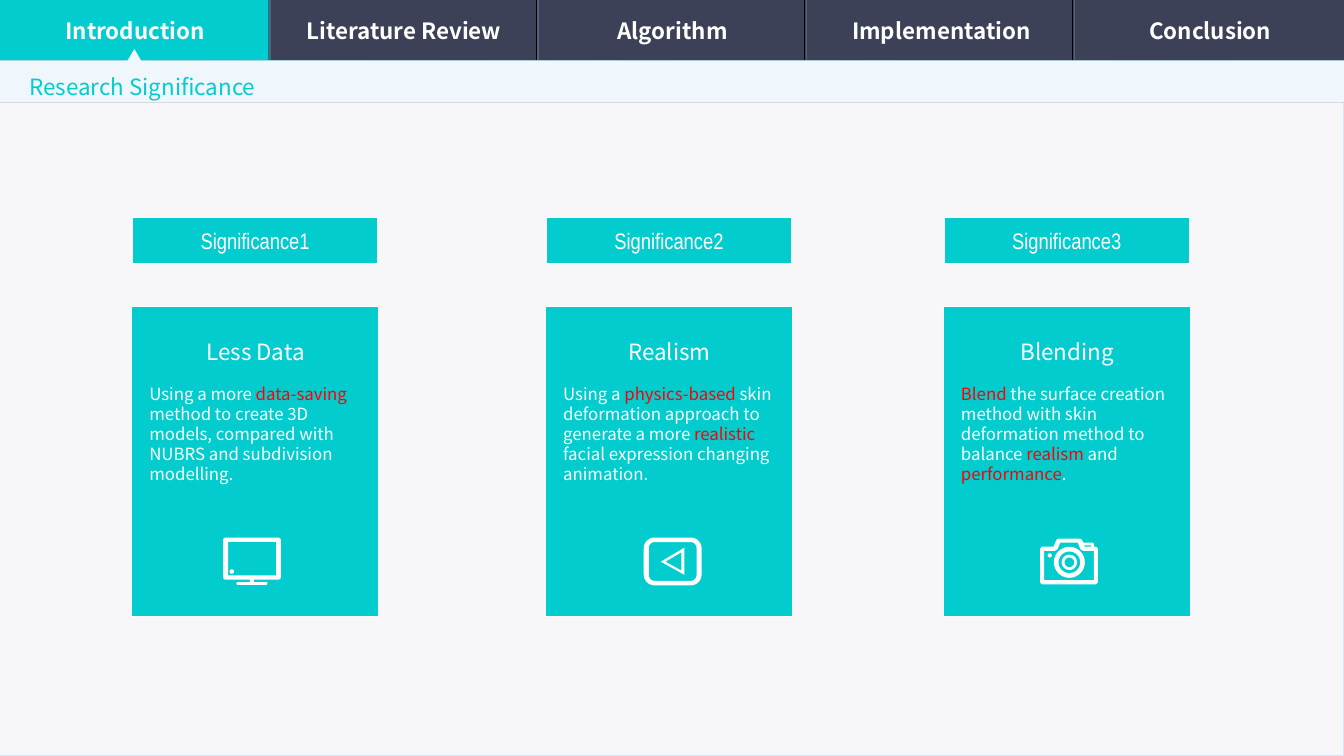
from dataclasses import dataclass
from math import cos, pi, sin

from lxml import etree
from pptx import Presentation
from pptx.dml.color import RGBColor
from pptx.enum.shapes import MSO_CONNECTOR, MSO_SHAPE
from pptx.enum.text import MSO_ANCHOR, MSO_AUTO_SIZE, PP_ALIGN
from pptx.oxml.ns import qn
from pptx.util import Pt

RECT, ROUND = MSO_SHAPE.RECTANGLE, MSO_SHAPE.ROUNDED_RECTANGLE
LINE = MSO_CONNECTOR.STRAIGHT
LEFT, CENTER = PP_ALIGN.LEFT, PP_ALIGN.CENTER
MIDDLE = MSO_ANCHOR.MIDDLE
GROW = MSO_AUTO_SIZE.SHAPE_TO_FIT_TEXT


@dataclass(frozen=True)
class Theme:
    teal: str = "03CCCE"
    slate: str = "3B445B"
    navy: str = "3C4157"
    edge: str = "596181"
    black: str = "000000"
    white: str = "FFFFFF"
    red: str = "FF0000"
    strip: str = "EFF6FC"
    panel: str = "F7F7F9"
    rim: str = "D4E7F9"
    rule: str = "D9D9D9"
    sans: str = "Noto Sans CJK SC"
    narrow: str = "Arial Narrow"
    head: float = 12
    body: float = 9


def rgb(code):
    return RGBColor.from_string(code)


def write(para, text, *, font, size, color, mark=None, bold=False,
          align=LEFT, before=None, spacing=None):
    """Fill a paragraph; parts between asterisks take the mark colour."""
    para.alignment = align
    if before is not None:
        para.space_before = Pt(before)
    if spacing is not None:
        para.line_spacing = spacing
    for i, part in enumerate(text.split("*")):
        if part:
            run = para.add_run()
            run.text = part
            run.font.name, run.font.size, run.font.bold = font, Pt(size), bold
            run.font.color.rgb = rgb(mark if i % 2 else color)


# Outlines used by the icons
def disc(x, y, r, n=40):
    return [(x + r * cos(2 * pi * i / n), y + r * sin(2 * pi * i / n))
            for i in range(n)]


def box(x, y, w, h, r=0.0, n=8):
    if not r:
        return [(x, y), (x + w, y), (x + w, y + h), (x, y + h)]
    mids = [(x + w - r, y + h - r), (x + r, y + h - r),
            (x + r, y + r), (x + w - r, y + r)]
    return [(cx + r * cos(pi / 2 * (q + i / n)),
             cy + r * sin(pi / 2 * (q + i / n)))
            for q, (cx, cy) in enumerate(mids) for i in range(n + 1)]


class Deck:
    def __init__(self, theme):
        self.theme = theme
        self.prs = Presentation()
        self.prs.slide_width, self.prs.slide_height = Pt(720), Pt(405)
        self.slide = self.prs.slides.add_slide(self.prs.slide_layouts[5])
        self.shapes = self.slide.shapes

    def back(self, first, last):
        fill = self.slide.background.fill
        fill.gradient()
        fill.gradient_angle = 315
        for stop, color in zip(fill.gradient_stops, (first, last)):
            stop.color.rgb = rgb(color)

    def paint(self, shape, fill=None, line=None):
        shape.shadow.inherit = False
        if fill:
            shape.fill.solid()
            shape.fill.fore_color.rgb = rgb(fill)
        else:
            shape.fill.background()
        if line:
            shape.line.color.rgb = rgb(line)
            shape.line.width = Pt(0.5)
        else:
            shape.line.fill.background()

    def block(self, x, y, w, h, fill=None, line=None, text="", kind=RECT, **fmt):
        shape = self.shapes.add_shape(kind, Pt(x), Pt(y), Pt(w), Pt(h))
        if kind == ROUND:
            shape.adjustments[0] = 0
        self.paint(shape, fill, line)
        if text:
            shape.text_frame.vertical_anchor = MIDDLE
            write(shape.text_frame.paragraphs[0], text, align=CENTER,
                  size=self.theme.head, color=self.theme.white, **fmt)

    def rule(self, x1, y1, x2, y2, color, width=0.5):
        line = self.shapes.add_connector(LINE, Pt(x1), Pt(y1), Pt(x2), Pt(y2))
        line.line.color.rgb = rgb(color)
        line.line.width = Pt(width)
        etree.SubElement(line._element.spPr, qn("a:effectLst"))

    def outline(self, x, y, loops, fill):
        """Draw closed loops as one shape; inner loops cut holes."""
        loops = [[(Pt(x + px), Pt(y + py)) for px, py in loop] for loop in loops]
        pen = self.shapes.build_freeform(*loops[0][0])
        for i, loop in enumerate(loops):
            if i:
                pen.move_to(*loop[0])
            pen.add_line_segments(loop[1:], close=True)
        self.paint(pen.convert_to_shape(), fill)

    def title(self, x, y, w, h, text):
        t, shape = self.theme, self.shapes.title
        shape.left, shape.top, shape.width, shape.height = map(Pt, (x, y, w, h))
        frame = shape.text_frame
        frame.word_wrap, frame.auto_size = False, GROW
        frame.vertical_anchor = MIDDLE
        write(frame.paragraphs[0], text, font=t.sans, size=t.head,
              color=t.teal, spacing=1.5)
        # Bring the title in front of the strip
        self.shapes._spTree.append(shape._element)

    def note(self, x, y, w, h, head, body):
        t = self.theme
        frame = self.shapes.add_textbox(Pt(x), Pt(y), Pt(w), Pt(h)).text_frame
        frame.word_wrap, frame.auto_size = True, GROW
        frame.margin_left = frame.margin_right = 0
        frame.margin_top = frame.margin_bottom = 0
        write(frame.paragraphs[0], head, font=t.sans, size=t.head,
              color=t.white, align=CENTER)
        write(frame.add_paragraph(), body, font=t.sans, size=t.body,
              color=t.white, mark=t.red, before=9.5)


SCREEN = [box(0, 0, 31, 22.5, 1.5), box(2.8, 2.3, 25.6, 18),
          disc(4.7, 18.2, 1.2), box(14.4, 22.5, 2.2, 1.3),
          box(7.2, 23.8, 16.6, 1.5, 0.7)]
PLAY = [box(0, 0, 31, 25.6, 5.8), box(2.7, 2.4, 25.6, 20.8, 3.2),
        [(21.8, 5.4), (9.2, 12.9), (21.8, 20)],
        [(20.2, 7.9), (20.2, 17.7), (11.6, 12.9)]]
CAMERA = [[(0, 5.3), (1, 4.3), (7.2, 4.3), (8.8, 0.6), (9.8, 0), (21.4, 0),
           (22.5, 0.7), (23.2, 2.2), (28.3, 2.2), (28.9, 2.8), (28.9, 4.3),
           (30, 4.3), (31, 5.3), (31, 23.5), (30, 24.5), (1, 24.5), (0, 23.5)],
          [(2.2, 6.5), (8, 6.5), (9.4, 5.6), (10.8, 2.2), (20.2, 2.2),
           (21.6, 5.7), (23, 6.5), (28.8, 6.5), (28.8, 22.3), (2.2, 22.3)],
          box(23.8, 3.6, 3.6, 0.7), disc(5.2, 9, 1.1),
          *[disc(15.7, 12.7, r) for r in (8.3, 5.8, 4.1, 2.6)]]

TABS = ["Introduction", "Literature Review", "Algorithm", "Implementation",
        "Conclusion"]
# Card left, heading, body, icon, icon left and top
CARDS = [
    (70.6, "Less Data", "Using a more *data-saving* method to create 3D models, "
     "compared with NUBRS and subdivision modelling.", SCREEN, 119.5, 288),
    (292.3, "Realism", "Using a *physics-based* skin deformation approach to "
     "generate a more *realistic* facial expression changing animation.",
     PLAY, 344.9, 288),
    (505.4, "Blending", "*Blend* the surface creation method with skin "
     "deformation method to balance *realism* and *performance*.",
     CAMERA, 557.2, 288.6),
]


def main():
    t = Theme()
    deck = Deck(t)
    deck.back(t.teal, t.slate)

    # Tab bar, dividers and content panel
    bar, step = 32.4, 144
    deck.block(0, 0, 720, bar, t.navy)
    for i in range(1, len(TABS)):
        x = 143.7 * i
        deck.rule(x, 0, x, bar, t.black)
        deck.rule(x + 0.9, 0, x + 0.9, bar, t.edge, 0.75)
    deck.block(0, 54.8, 720, 350.2, t.panel, t.rim)
    deck.block(0, 0, step, bar, t.teal)

    # Title strip with a pointer under the active tab
    deck.outline(0, 0, [[(72, 26.2), (75.6, bar), (720, bar), (720, 54.8),
                         (0, 54.8), (0, bar), (68.4, bar)]], t.strip)
    deck.rule(0, 54.8, 720, 54.8, t.rule)
    deck.title(8.6, 29.5, 139, 26.6, "Research Significance")
    for i, tab in enumerate(TABS):
        deck.block(0.7 + step * i, 5, 143.3, 22.3, text=tab, kind=ROUND,
                   font=t.sans, bold=True)

    # Significance cards
    for i, (x, head, body, icon, left, top) in enumerate(CARDS, 1):
        deck.block(x + 0.6, 116.6, 131, 24.5, t.teal, t.white,
                   f"Significance{i}", font=t.narrow)
        deck.block(x, 164.2, 132.2, 166.3, t.teal, t.white)
        deck.note(x + 9.4, 181.4, 113.8, 78.5, head, body)
        deck.outline(left, top, icon, t.white)

    deck.prs.save("out.pptx")


if __name__ == "__main__":
    main()
